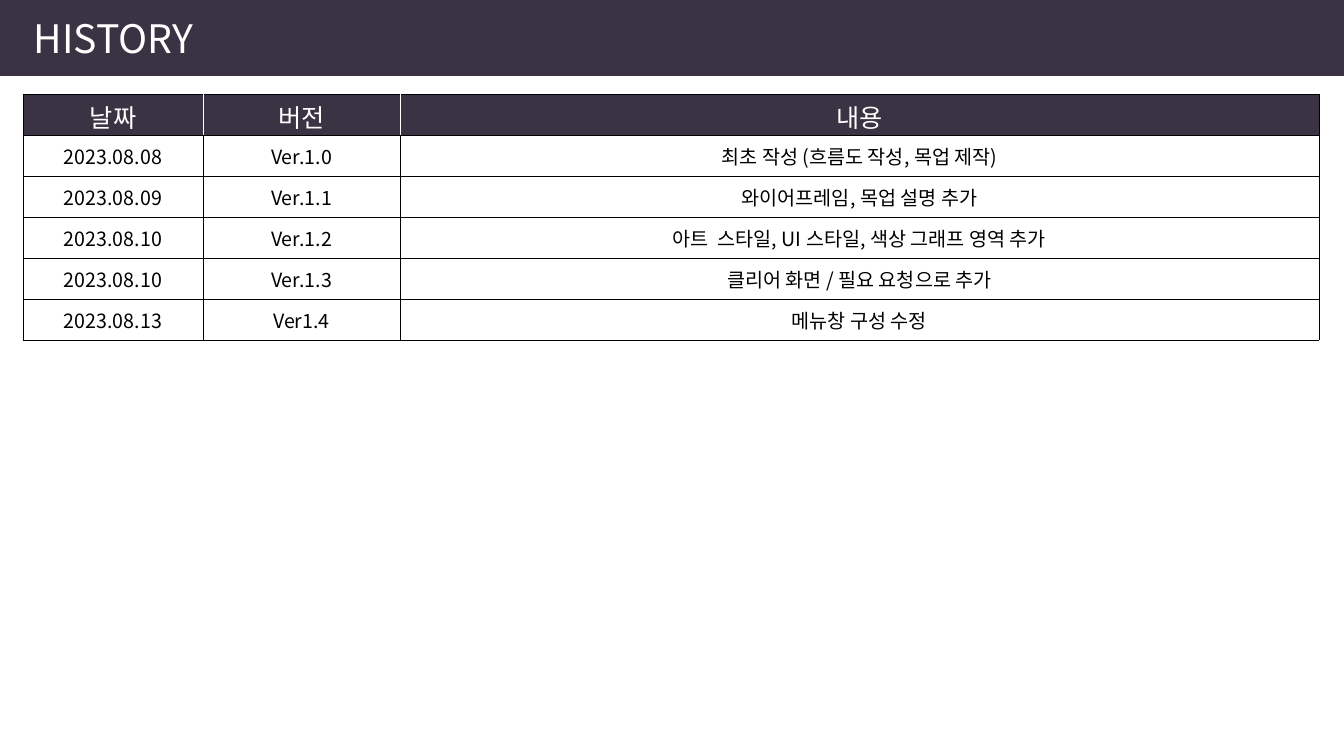
from dataclasses import dataclass

from lxml.etree import SubElement
from pptx import Presentation
from pptx.dml.color import RGBColor
from pptx.enum.shapes import MSO_SHAPE
from pptx.enum.text import MSO_ANCHOR, MSO_AUTO_SIZE, PP_ALIGN
from pptx.oxml.ns import qn
from pptx.util import Pt

EMU_PER_PX = 914400 / 100.8


@dataclass(frozen=True)
class Theme:
    font: str = "Noto Sans CJK KR"
    plum: str = "3A3343"
    white: str = "FFFFFF"
    black: str = "000000"
    title_size: int = 28
    header_size: int = 18
    body_size: int = 14
    border_width: float = 0.75


THEME = Theme()
SLIDE_WIDTH, SLIDE_HEIGHT = 1344, 756
TABLE_LEFT, TABLE_TOP, ROW_HEIGHT = 23, 94, 41
COLUMN_WIDTHS = (180, 197, 919)
HISTORY = (
    ("날짜", "버전", "내용"),
    ("2023.08.08", "Ver.1.0", "최초 작성 (흐름도 작성, 목업 제작)"),
    ("2023.08.09", "Ver.1.1", "와이어프레임, 목업 설명 추가"),
    ("2023.08.10", "Ver.1.2", "아트  스타일, UI 스타일, 색상 그래프 영역 추가"),
    ("2023.08.10", "Ver.1.3", "클리어 화면 / 필요 요청으로 추가"),
    ("2023.08.13", "Ver1.4", "메뉴창 구성 수정"),
)


def px(length):
    return round(length * EMU_PER_PX)


def style_text(frame, size, color):
    for paragraph in frame.paragraphs:
        for span in paragraph.runs:
            span.font.name = THEME.font
            span.font.size = Pt(size)
            span.font.bold = False
            span.font.color.rgb = RGBColor.from_string(color)
            east_asian = SubElement(span.font._element, qn("a:ea"))
            east_asian.set("typeface", THEME.font)


def add_title_bar(page, left, top, width, height):
    bar = page.shapes.add_shape(MSO_SHAPE.RECTANGLE, px(left), px(top), px(width), px(height))
    bar.shadow.inherit = False
    bar.fill.solid()
    bar.fill.fore_color.rgb = RGBColor.from_string(THEME.plum)
    bar.line.fill.background()


def add_title(page, text, left, top, width, height):
    box = page.shapes.add_textbox(px(left), px(top), px(width), px(height))
    frame = box.text_frame
    frame.word_wrap = True
    frame.auto_size = MSO_AUTO_SIZE.NONE
    frame.text = text
    style_text(frame, THEME.title_size, THEME.white)


def set_borders(cell, left, right):
    properties = cell._tc.get_or_add_tcPr()
    sides = {"L": left, "R": right, "T": THEME.black, "B": THEME.black}
    for side, color in sides.items():
        line = SubElement(properties, qn(f"a:ln{side}"), w=str(Pt(THEME.border_width)))
        fill = SubElement(line, qn("a:solidFill"))
        SubElement(fill, qn("a:srgbClr"), val=color)


def format_cell(cell, is_header, is_first, is_last):
    divider = THEME.white if is_header else THEME.black
    set_borders(cell, THEME.black if is_first else divider, THEME.black if is_last else divider)
    cell.vertical_anchor = MSO_ANCHOR.MIDDLE
    cell.text_frame.paragraphs[0].alignment = PP_ALIGN.CENTER
    if is_header:
        cell.margin_top, cell.margin_bottom = px(4), 0
        cell.fill.solid()
        cell.fill.fore_color.rgb = RGBColor.from_string(THEME.plum)
        style_text(cell.text_frame, THEME.header_size, THEME.white)
    else:
        cell.fill.background()
        style_text(cell.text_frame, THEME.body_size, THEME.black)


def add_history_table(page, rows, left, top):
    frame = page.shapes.add_table(
        len(rows), len(COLUMN_WIDTHS), px(left), px(top),
        px(sum(COLUMN_WIDTHS)), px(ROW_HEIGHT * len(rows)),
    )
    table = frame.table
    table.horz_banding = False
    for column, width in zip(table.columns, COLUMN_WIDTHS):
        column.width = px(width)
    for row_index, values in enumerate(rows):
        table.rows[row_index].height = px(ROW_HEIGHT)
        for column_index, value in enumerate(values):
            cell = table.cell(row_index, column_index)
            cell.text_frame.text = value
            format_cell(cell, row_index == 0, column_index == 0, column_index == len(values) - 1)


def main():
    deck = Presentation()
    deck.slide_width, deck.slide_height = px(SLIDE_WIDTH), px(SLIDE_HEIGHT)
    page = deck.slides.add_slide(deck.slide_layouts[6])
    add_title_bar(page, 0, 0, SLIDE_WIDTH, 76)
    add_title(page, "HISTORY", 24, 9, 190, 57)
    add_history_table(page, HISTORY, TABLE_LEFT, TABLE_TOP)
    deck.save("out.pptx")


if __name__ == "__main__":
    main()
